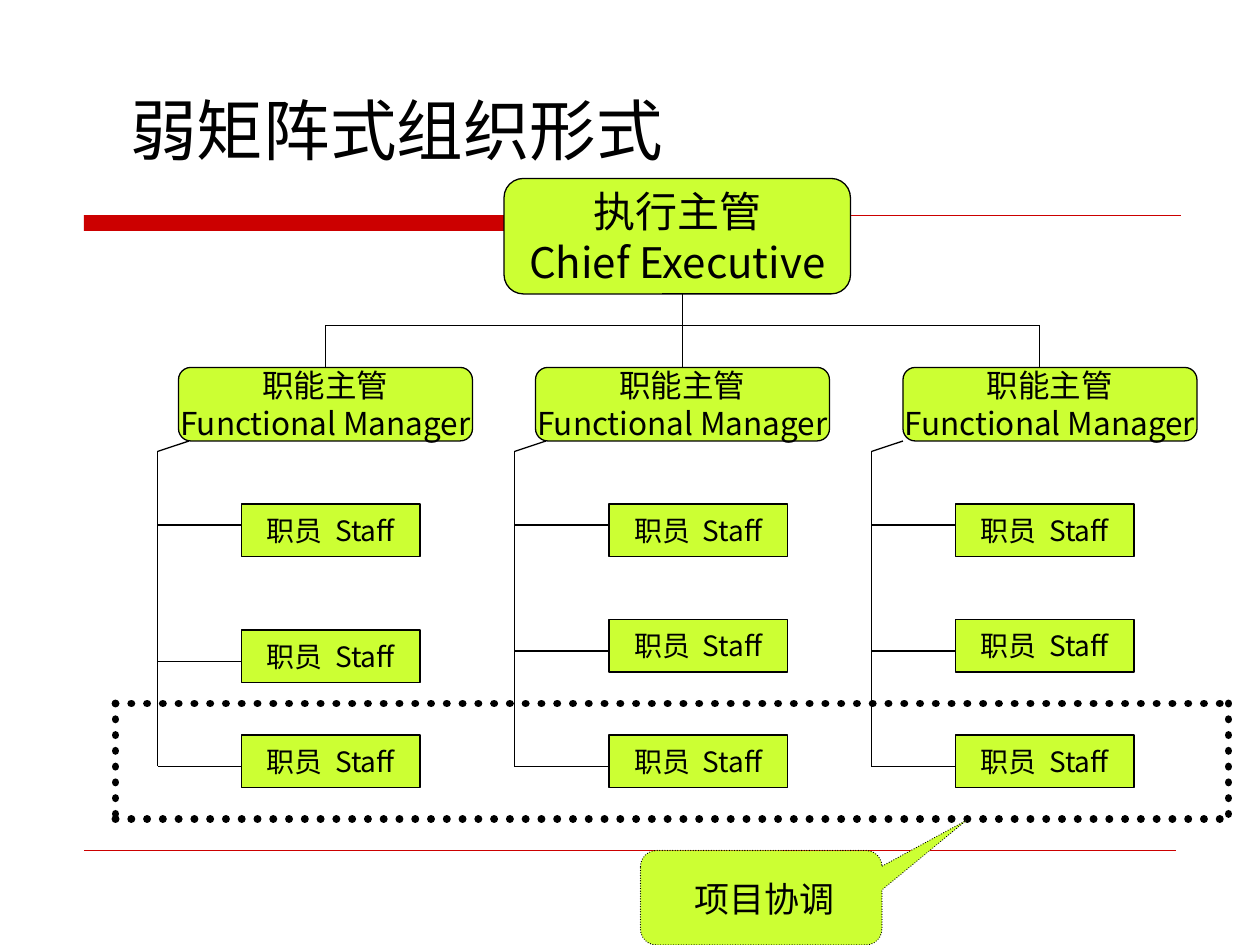
from dataclasses import dataclass

from lxml import etree
from pptx import Presentation, util as u
from pptx.dml.color import RGBColor
from pptx.enum import dml, shapes, text
from pptx.oxml import ns

SANS = "Noto Sans CJK SC"
TITLE_FONT = "Noto Sans CJK JP"
BLACK, LIME, RED = "000000", "CCFF33", "CC0000"
STAFF = [["职员", " ", "Staff"]]
STAFF_LEFT_EDGE_TOPS = 288
MANAGER_TOP = 210
BUS_TOP = 186


@dataclass
class Box:
    left: float
    top: float
    width: float
    height: float


@dataclass
class Branch:
    trunk: float
    manager_left: float
    drop: float
    staff_left: float
    second_staff_top: float


BRANCHES = [
    Branch(90, 102, 186, 138, 360),
    Branch(294, 306, 390, 348, 354),
    Branch(498, 516, 594, 546, 354),
]

presentation = Presentation()
presentation.slide_width, presentation.slide_height = u.Pt(720), u.Pt(540)
slide = presentation.slides.add_slide(presentation.slide_layouts[6])


def color(value: str) -> RGBColor:
    return RGBColor.from_string(value)


def place(box: Box) -> list:
    return [u.Pt(value) for value in (box.left, box.top, box.width, box.height)]


def make_dotted(line) -> None:
    line.dash_style = dml.MSO_LINE.ROUND_DOT
    line._get_or_add_ln().set("cap", "rnd")


def add_line(x1: float, y1: float, x2: float, y2: float, stroke: str = BLACK,
             width: float = 0.75, dotted: bool = False):
    connector = slide.shapes.add_connector(
        shapes.MSO_CONNECTOR.STRAIGHT, u.Pt(x1), u.Pt(y1), u.Pt(x2), u.Pt(y2))
    connector.line.color.rgb = color(stroke)
    connector.line.width = u.Pt(width)
    if dotted:
        make_dotted(connector.line)
    etree.SubElement(connector._element.spPr, ns.qn("a:effectLst"))
    return connector


def write(shape, lines: list, size: float, font: str = SANS,
          align=text.PP_ALIGN.CENTER, anchor=text.MSO_ANCHOR.MIDDLE,
          wrap: bool = False) -> None:
    frame = shape.text_frame
    frame.word_wrap = wrap
    frame.vertical_anchor = anchor
    for index, pieces in enumerate(lines):
        paragraph = frame.add_paragraph() if index else frame.paragraphs[0]
        paragraph.alignment = align
        for piece in pieces:
            run = paragraph.add_run()
            run.text = piece
            run.font.size = u.Pt(size)
            run.font.color.rgb = color(BLACK)
            run.font.name = font
            properties = run.font._element
            etree.SubElement(properties, ns.qn("a:ea"), typeface=font)
            if piece == " ":  # widen the gap between the two languages
                properties.set("spc", "360")


def add_shape(kind, box: Box, fill: str = LIME, stroke: str = BLACK):
    shape = slide.shapes.add_shape(kind, *place(box))
    shape.shadow.inherit = False
    shape.fill.solid()
    shape.fill.fore_color.rgb = color(fill)
    if stroke:
        shape.line.color.rgb = color(stroke)
        shape.line.width = u.Pt(0.75)
    else:
        shape.line.fill.background()
    return shape


def add_branch(branch: Branch):
    """Draw one manager with the staff below; return the manager box."""
    manager = add_shape(shapes.MSO_SHAPE.ROUNDED_RECTANGLE,
                        Box(branch.manager_left, MANAGER_TOP, 168, 42))
    write(manager, [["职能主管"], ["Functional Manager"]], 18)
    staff_rows = [(288, 300),
                  (branch.second_staff_top, branch.second_staff_top + 18),
                  (420, 438)]
    add_line(branch.trunk + 18, 252, branch.trunk, 258)
    add_line(branch.trunk, 258, branch.trunk, 438)
    for top, line_top in staff_rows:
        staff = add_shape(shapes.MSO_SHAPE.RECTANGLE,
                          Box(branch.staff_left, top, 102, 30))
        write(staff, STAFF, 16)
        add_line(branch.trunk, line_top, branch.staff_left, line_top)
    return manager


# Rules and title
add_shape(shapes.MSO_SHAPE.RECTANGLE, Box(48, 123, 367, 9), RED, "")
add_line(48, 123, 675, 123, RED)
add_line(48, 486, 672, 486, RED, 0.25)
title = slide.shapes.add_textbox(*place(Box(67.5, 24, 573, 76)))
write(title, [["弱矩阵式组织形式"]], 38, TITLE_FONT, text.PP_ALIGN.LEFT,
      text.MSO_ANCHOR.BOTTOM, True)

# Chief executive
chief = add_shape(shapes.MSO_SHAPE.ROUNDED_RECTANGLE, Box(288, 102, 198, 66))
write(chief, [["执行主管"], ["Chief Executive"]], 24)

# Managers, staff and the lines from the top
add_line(BRANCHES[0].drop, BUS_TOP, BRANCHES[-1].drop, BUS_TOP)
for branch in BRANCHES:
    manager = add_branch(branch)
    start = 168 if branch is BRANCHES[1] else BUS_TOP
    drop = add_line(branch.drop, start, branch.drop, MANAGER_TOP)
    if branch.drop == branch.manager_left + 84:
        drop.end_connect(manager, 0)

# Dotted frame around the project team
for top in (468, 402):
    add_line(66, top, 702, top, width=4.5, dotted=True)
for left in (66, 702):
    add_line(left, 402, left, 474, width=4.5, dotted=True)

# Coordination callout
callout = add_shape(shapes.MSO_SHAPE.ROUNDED_RECTANGULAR_CALLOUT,
                    Box(366, 486, 138, 54))
for index, value in enumerate((0.85, -0.82, 0.17)):
    callout.adjustments[index] = value
make_dotted(callout.line)
label = slide.shapes.add_textbox(*place(Box(390, 498, 94.5, 31.5)))
label.fill.solid()
label.fill.fore_color.rgb = color(LIME)
write(label, [["项目协调"]], 20, align=text.PP_ALIGN.LEFT,
      anchor=text.MSO_ANCHOR.TOP)

presentation.save("out.pptx")
